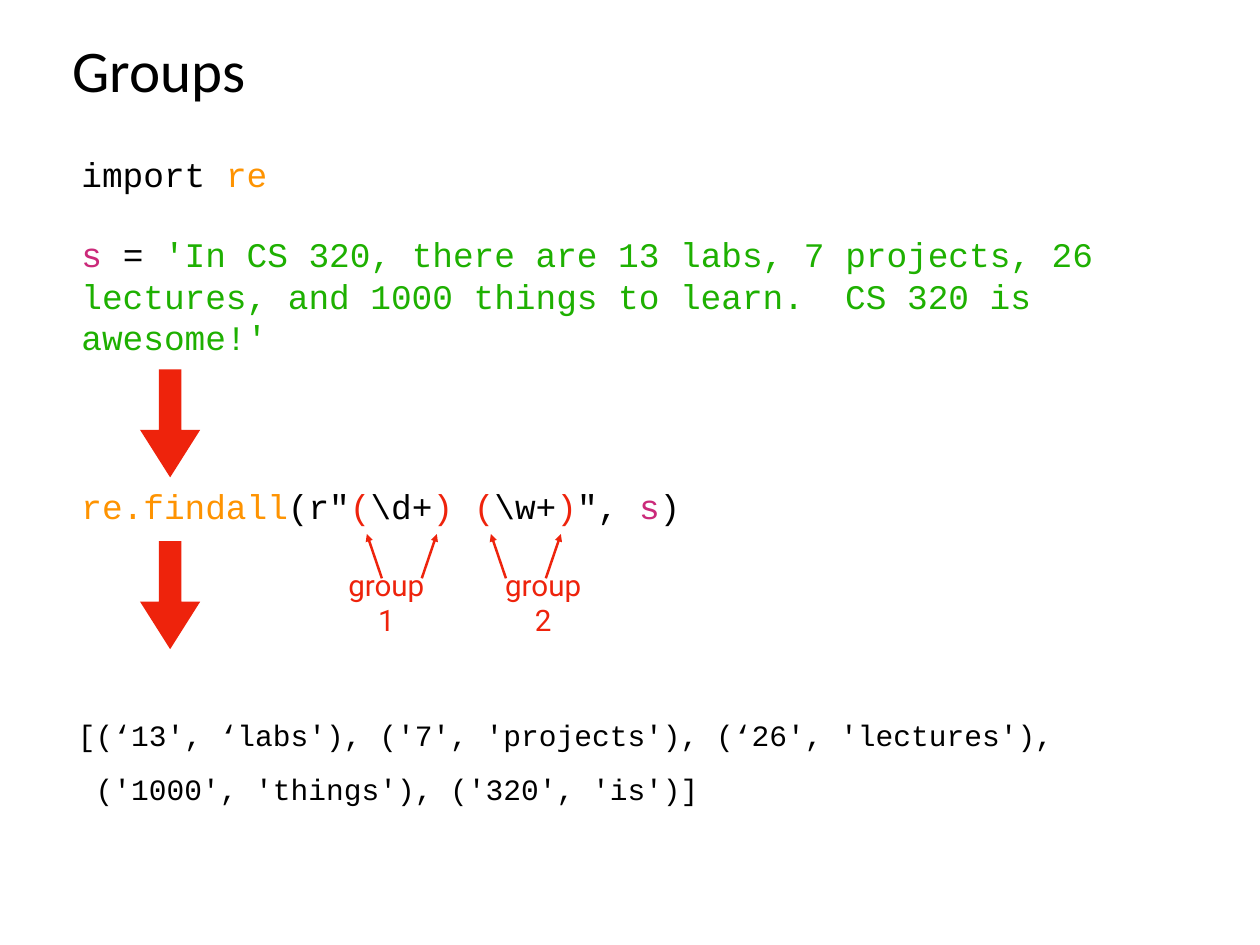
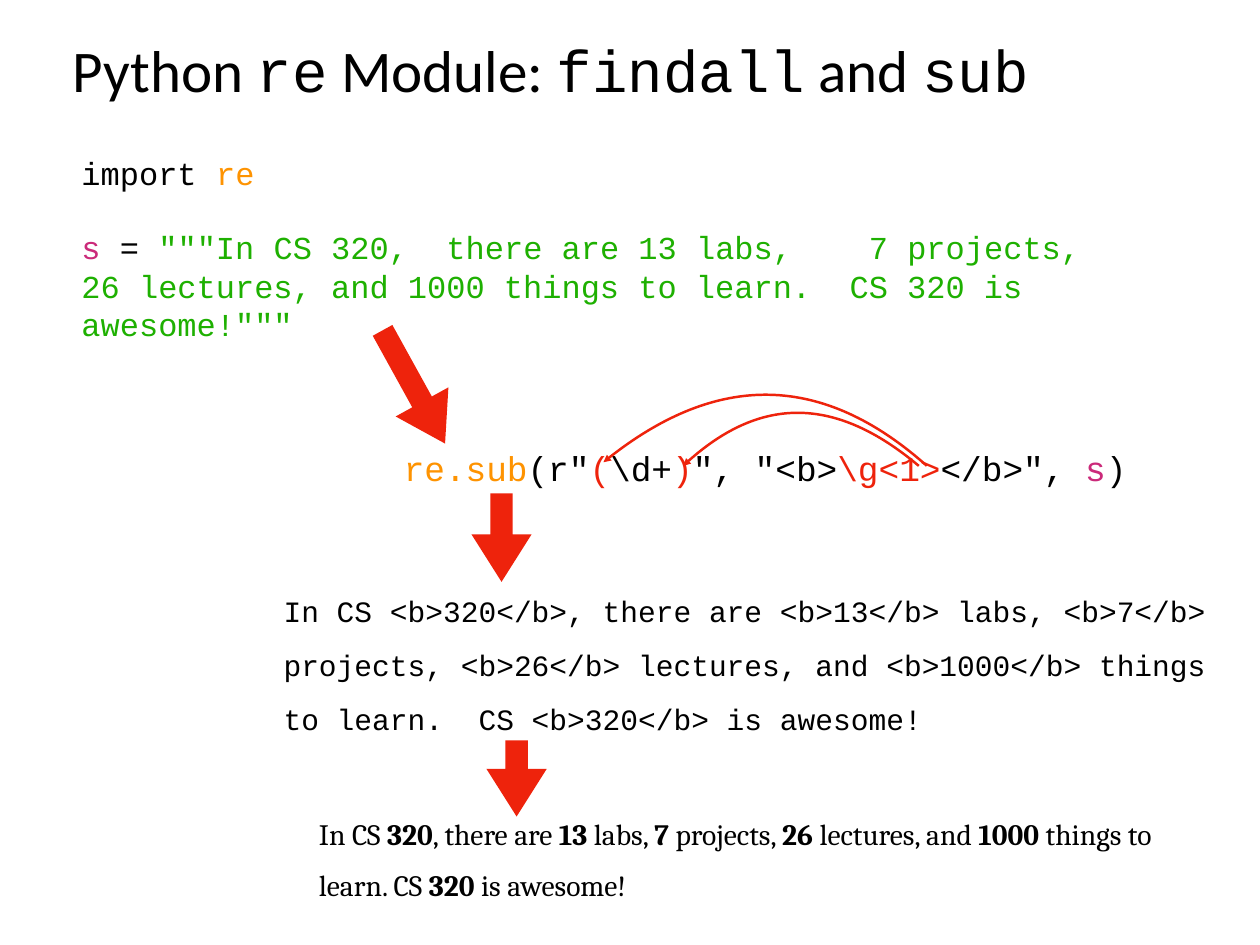
"""Build two slides on regular expression groups and substitution."""
import dataclasses
import typing

import lxml.etree
import pptx
import pptx.dml.color
import pptx.enum.shapes
import pptx.enum.text
import pptx.oxml.ns
import pptx.util

Inches = pptx.util.Inches
Pt = pptx.util.Pt
qn = pptx.oxml.ns.qn
ALIGN = pptx.enum.text.PP_ALIGN
ANCHOR = pptx.enum.text.MSO_ANCHOR

BLACK, RED, ORANGE, GREEN, PINK = "000000", "EE230C", "FE9301", "1EB001", "CB2A7A"
SANS, SERIF, MONO, LABEL = "Calibri", "Cambria", "Courier New", "Roboto"
MONO_LINE = 1.133


@dataclasses.dataclass(frozen=True)
class Run:
    """A piece of text with its own colour, font or weight."""
    text: str
    color: str = BLACK
    font: typing.Optional[str] = None
    bold: bool = False


@dataclasses.dataclass(frozen=True)
class BlockArrow:
    """A thick arrow given by its unrotated box and its rotation."""
    left: float
    top: float
    length: float
    rotation: float = 90


@dataclasses.dataclass(frozen=True)
class Group:
    """A captured group with its label and the centre of its two pointers."""
    label: str
    label_left: float
    center: float


Point = tuple[float, float]
Box = tuple[float, float, float, float]
Paragraph = list[Run]


def rgb(color: str) -> pptx.dml.color.RGBColor:
    """Turn a hex string into a colour."""
    return pptx.dml.color.RGBColor.from_string(color)


def place(sp, box: Box) -> None:
    """Set the position and size of a shape in inches."""
    sp.left, sp.top, sp.width, sp.height = map(Inches, box)


def write(sp, paragraphs: list[Paragraph], *, size: float, font: str = MONO,
          align=ALIGN.LEFT, anchor=ANCHOR.MIDDLE, wrap: bool = True,
          leading: typing.Optional[float] = None,
          gaps: typing.Optional[dict[int, float]] = None) -> None:
    """Fill a shape with formatted paragraphs."""
    tf = sp.text_frame
    tf.word_wrap = wrap
    tf.vertical_anchor = anchor
    tf.margin_left = tf.margin_right = tf.margin_top = tf.margin_bottom = Inches(0.06)
    for i, runs in enumerate(paragraphs):
        p = tf.add_paragraph() if i else tf.paragraphs[0]
        p.alignment = align
        if leading:
            p.line_spacing = Pt(leading)
        if gaps and i in gaps:
            p.space_before = Pt(gaps[i])
        for run in runs:
            r = p.add_run()
            r.text = run.text
            r.font.size = Pt(size)
            r.font.name = run.font or font
            r.font.bold = run.bold
            r.font.color.rgb = rgb(run.color)


def add_text(s, box: Box, paragraphs: list[Paragraph], **style) -> None:
    """Add a text box that grows with its text."""
    sp = s.shapes.add_textbox(*map(Inches, box))
    write(sp, paragraphs, **style)
    sp.text_frame.auto_size = pptx.enum.text.MSO_AUTO_SIZE.SHAPE_TO_FIT_TEXT


def add_title_slide(prs, title: Paragraph):
    """Add a slide with the shared title style."""
    s = prs.slides.add_slide(prs.slide_layouts[5])
    sp = s.shapes.title
    place(sp, (0.76, 0.28, 12.66, 0.99))
    write(sp, [title], size=48, font=SANS)
    sp.text_frame.auto_size = pptx.enum.text.MSO_AUTO_SIZE.NONE
    return s


def add_source(s, height: float, size: float, literal: list[str]) -> None:
    """Add the code that imports the module and assigns the string."""
    first, *rest = literal
    paragraphs = [
        [Run("import "), Run("re", ORANGE)],
        [Run("s", PINK), Run(" = "), Run(first, GREEN)],
        *([Run(line, GREEN)] for line in rest),
    ]
    add_text(s, (0.86, 1.67, 12.32, height), paragraphs, size=size,
             anchor=ANCHOR.TOP, gaps={1: round(size * MONO_LINE, 1)})


def add_block_arrow(s, arrow: BlockArrow) -> None:
    """Add a thick red arrow."""
    box = (arrow.left, arrow.top, arrow.length, 0.68)
    sp = s.shapes.add_shape(pptx.enum.shapes.MSO_SHAPE.RIGHT_ARROW, *map(Inches, box))
    sp.adjustments[0], sp.adjustments[1] = 0.372, 0.79
    sp.rotation = arrow.rotation
    sp.shadow.inherit = False
    sp.fill.solid()
    sp.fill.fore_color.rgb = rgb(RED)
    sp.line.fill.background()


def style_line(sp, end: str) -> None:
    """Give a line the red stroke, an arrowhead at one end and no shadow."""
    sp.line.color.rgb = rgb(RED)
    sp.line.width = Pt(2)
    pr = sp.element.spPr
    lxml.etree.SubElement(pr.find(qn("a:ln")), qn(end), type="triangle")
    lxml.etree.SubElement(pr, qn("a:effectLst"))


def add_pointer(s, start: Point, end: Point) -> None:
    """Add a straight thin arrow."""
    sp = s.shapes.add_connector(pptx.enum.shapes.MSO_CONNECTOR.STRAIGHT,
                                *map(Inches, start + end))
    style_line(sp, "a:tailEnd")


def add_curve(s, start: Point, *controls: Point) -> None:
    """Add a cubic curve with an arrowhead at its start."""
    builder = s.shapes.build_freeform(*map(Inches, start))
    builder.add_line_segments([tuple(map(Inches, pt)) for pt in controls], close=False)
    sp = builder.convert_to_shape()
    outline = sp.element.spPr.find(".//" + qn("a:path"))
    segments = outline.findall(qn("a:lnTo"))
    cubic = lxml.etree.SubElement(outline, qn("a:cubicBezTo"))
    for segment in segments:
        cubic.append(segment[0])
        outline.remove(segment)
    sp.fill.background()
    style_line(sp, "a:headEnd")


def add_group(s, group: Group) -> None:
    """Add a group label and the two pointers to its parentheses."""
    add_text(s, (group.label_left, 6.55, 1.24, 0.5), [[Run(group.label, RED)]],
             size=24, font=LABEL, align=ALIGN.CENTER, wrap=False)
    for side in (-1, 1):
        add_pointer(s, (group.center + side * 0.225, 6.53),
                    (group.center + side * 0.395, 6.03))


def build_groups(prs) -> None:
    """Build the slide on groups."""
    s = add_title_slide(prs, [Run("Groups")])
    call = [Run("re.findall", ORANGE), Run('(r"'), Run("(", RED), Run(r"\d+"),
            Run(") (", RED), Run(r"\w+"), Run(")", RED), Run('", '),
            Run("s", PINK), Run(")")]
    add_text(s, (0.86, 5.42, 7.61, 0.58), [call], size=28, anchor=ANCHOR.TOP)
    for top in (4.44, 6.38):
        add_block_arrow(s, BlockArrow(1.31, top, 1.22))
    for group in (Group("group 1", 3.74, 4.535), Group("group 2", 5.51, 5.935)):
        add_group(s, group)
    result = ["[(‘13', ‘labs'), ('7', 'projects'), (‘26', 'lectures'),",
              " ('1000', 'things'), ('320', 'is')]"]
    add_text(s, (0.82, 7.85, 11.2, 1.29), [[Run(line)] for line in result],
             size=24, wrap=False, leading=44)
    add_source(s, 2.47, 28, ["'In CS 320, there are 13 labs, 7 projects, 26 lectures, "
                             "and 1000 things to learn.  CS 320 is awesome!'"])


def build_substitution(prs) -> None:
    """Build the slide on findall and sub."""
    s = add_title_slide(prs, [Run("Python "), Run("re", font=MONO), Run(" Module: "),
                              Run("findall", font=MONO), Run(" and "),
                              Run("sub", font=MONO)])
    call = [Run("re.sub", ORANGE), Run('(r"'), Run("(", RED), Run(r"\d+"),
            Run(")", RED), Run('", "<b>'), Run(r"\g<1>", RED), Run('</b>", '),
            Run("s", PINK), Run(")")]
    add_text(s, (4.37, 4.99, 8.53, 0.58), [call], size=28, align=ALIGN.CENTER, wrap=False)
    for arrow in (BlockArrow(3.94, 4.03, 1.46, 61.1), BlockArrow(5.16, 5.73, 1),
                  BlockArrow(5.4, 8.45, 0.86)):
        add_block_arrow(s, arrow)
    add_curve(s, (6.81, 5.22), (8.06, 4.2), (9.28, 4.21), (10.46, 5.26))
    add_curve(s, (7.71, 5.26), (8.55, 4.47), (9.43, 4.47), (10.37, 5.26))
    tagged = ("In CS <b>320</b>, there are <b>13</b> labs, <b>7</b> projects, "
              "<b>26</b> lectures, and <b>1000</b> things to learn.  "
              "CS <b>320</b> is awesome!")
    add_text(s, (3.14, 6.44, 10.62, 1.91), [[Run(tagged)]], size=24, leading=44)
    pieces = ["In CS ", "320", ", there are ", "13 ", "labs, ", "7", " projects, ", "26",
              " lectures, and ", "1000", " things to learn. CS ", "320", " is awesome!"]
    rendered = [Run(piece, bold=i % 2 == 1) for i, piece in enumerate(pieces)]
    add_text(s, (3.54, 9, 9.81, 1.22), [rendered], size=24, font=SERIF, leading=42)
    add_source(s, 2.3, 26, ['"""In CS 320,  there are 13 labs,    7 projects,',
                            "26 lectures, and 1000 things to learn.  "
                            'CS 320 is awesome!"""'])


def main() -> None:
    """Build and save the presentation."""
    prs = pptx.Presentation()
    prs.slide_width, prs.slide_height = Inches(14.22), Inches(10.67)
    build_groups(prs)
    build_substitution(prs)
    prs.save("out.pptx")


if __name__ == "__main__":
    main()
